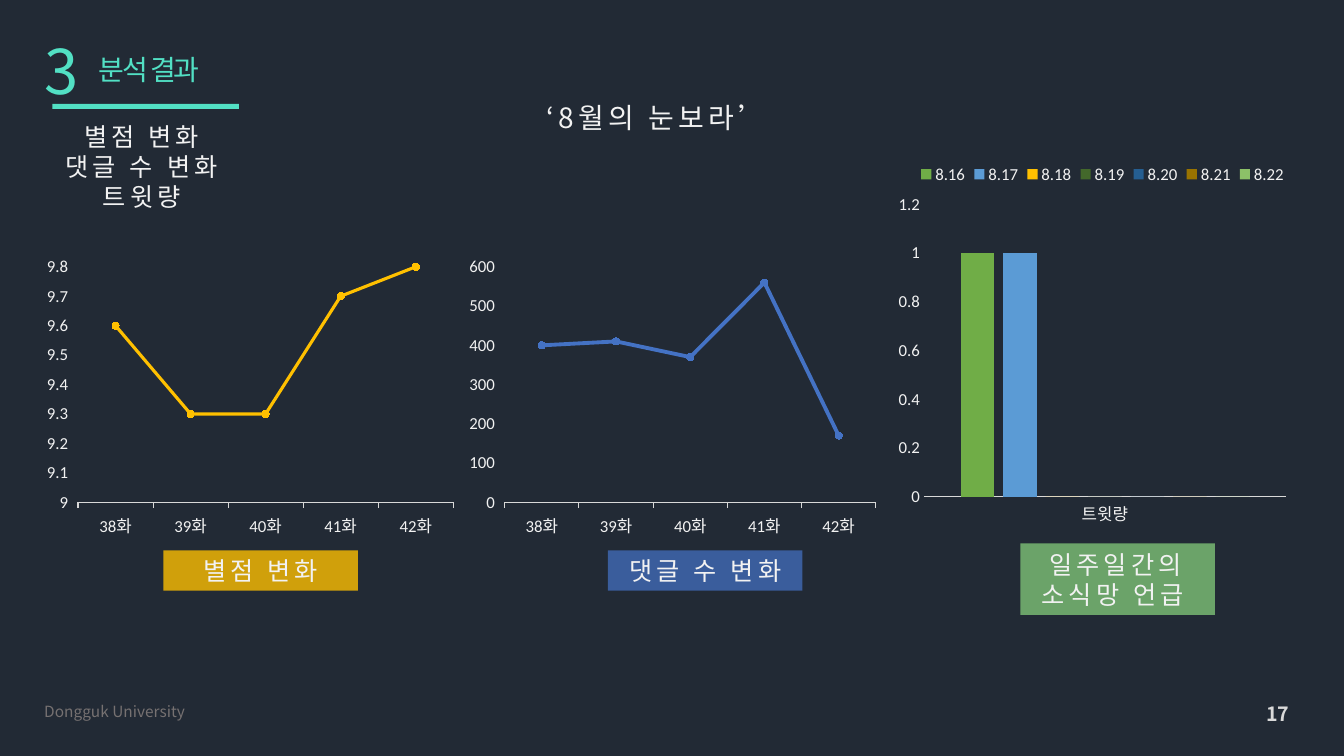
import pptx
import pptx.util
import pptx.chart.data
import pptx.dml.color
import pptx.enum.chart
import pptx.enum.shapes
import pptx.enum.text
import pptx.oxml
import pptx.oxml.ns
from lxml import etree

Inches, Pt = pptx.util.Inches, pptx.util.Pt
qn = pptx.oxml.ns.qn
XL = pptx.enum.chart
CENTER = pptx.enum.text.PP_ALIGN.CENTER
LEFT = pptx.enum.text.PP_ALIGN.LEFT

COLORS = {
    "background": "222A35", "mint": "52E0C4", "text": "F2F2F2",
    "footer": "767171", "axis": "D9D9D9", "yellow": "FFC000",
    "blue": "4472C4", "green": "88D37E",
}
DAYS = {
    "8.16": (1, "70AD47"), "8.17": (1, "5B9BD5"), "8.18": (0, "FFC000"),
    "8.19": (0, "43682B"), "8.20": (0, "255E91"), "8.21": (0, "997300"),
    "8.22": (0, "8CC168"),
}
EPISODES = ["38화", "39화", "40화", "41화", "42화"]
TEXT_FONT, CHART_FONT = "Noto Sans CJK KR", "Calibri"


def rgb(value):
    return pptx.dml.color.RGBColor.from_string(COLORS.get(value, value))


def paint(fill, color):
    fill.solid()
    fill.fore_color.rgb = rgb(color)


def write(sp, lines, size, color="text", align=CENTER, spacing=0, bold=False, wrap=True):
    tf = sp.text_frame
    tf.word_wrap = wrap
    tf.text = "\n".join(lines)
    for p in tf.paragraphs:
        p.alignment = align
        p.font.size, p.font.name, p.font.bold = Pt(size), TEXT_FONT, bold
        p.font.color.rgb = rgb(color)
        props = p._p.pPr.find(qn("a:defRPr"))
        props.set("spc", str(int(spacing * 100)))
        east_asian = etree.Element(qn("a:ea"), typeface=TEXT_FONT)
        props.find(qn("a:latin")).addnext(east_asian)


def add_text(s, box, lines, size, **style):
    write(s.shapes.add_textbox(*map(Inches, box)), lines, size, **style)


def add_bar(s, box, color, opacity=100):
    sp = s.shapes.add_shape(pptx.enum.shapes.MSO_SHAPE.RECTANGLE, *map(Inches, box))
    sp.shadow.inherit = False
    sp.line.fill.background()
    paint(sp.fill, color)
    if opacity < 100:
        tint = sp.fill._xPr.find(qn("a:solidFill"))[0]
        etree.SubElement(tint, qn("a:alpha"), val=str(opacity * 1000))
    return sp


def add_label(s, box, text, color, opacity):
    write(add_bar(s, box, color, opacity), [text], 18, spacing=3)


def set_font(font, size):
    font.name, font.size = CHART_FONT, Pt(size)
    font.color.rgb = rgb("text")


def manual_layout(x, y, w, h, inner=False):
    layout = etree.Element(qn("c:layout"))
    manual = etree.SubElement(layout, qn("c:manualLayout"))
    settings = [("layoutTarget", "inner")] if inner else []
    settings += [("xMode", "edge"), ("yMode", "edge"), ("x", x), ("y", y), ("w", w), ("h", h)]
    for tag, value in settings:
        etree.SubElement(manual, qn("c:" + tag), val=str(value))
    return layout


def add_chart(s, box, kind, categories, series, limits, tick):
    data = pptx.chart.data.CategoryChartData()
    data.categories = categories
    for name, values in series:
        data.add_series(name, values)
    chart = s.shapes.add_chart(kind, *map(Inches, box), data).chart
    chart.has_title = chart.has_legend = False
    set_font(chart.font, 10)
    chart.plots[0].vary_by_categories = False
    for axis in (chart.category_axis, chart.value_axis):
        axis.has_major_gridlines = False
        axis.major_tick_mark = tick
        axis.minor_tick_mark = XL.XL_TICK_MARK.NONE
        set_font(axis.tick_labels.font, 12)
    paint(chart.category_axis.format.line.fill, "axis")
    chart.category_axis.format.line.width = Pt(0.75)
    value_axis = chart.value_axis
    value_axis.format.line.fill.background()
    value_axis.minimum_scale, value_axis.maximum_scale, value_axis.major_unit = limits
    return chart


def line_panel(s, left, top, values, limits, color, width, title, title_dx, opacity):
    chart = add_chart(s, (left, top, 4.2, 2.9), XL.XL_CHART_TYPE.LINE_MARKERS_STACKED,
                      EPISODES, [("Series 1", values)], limits, XL.XL_TICK_MARK.OUTSIDE)
    ser = chart.plots[0].series[0]
    ser.smooth = False
    paint(ser.format.line.fill, color)
    ser.format.line.width = Pt(width)
    ser.marker.style, ser.marker.size = XL.XL_MARKER_STYLE.CIRCLE, 5
    paint(ser.marker.format.fill, color)
    paint(ser.marker.format.line.fill, color)
    add_label(s, (left + title_dx, top + 2.97, 1.93, 0.4), title, color, opacity)


def mentions_panel(s, left, top):
    chart = add_chart(s, (left, top, 4.2, 4.63), XL.XL_CHART_TYPE.COLUMN_CLUSTERED, ["트윗량"],
                      [(day, [count]) for day, (count, _) in DAYS.items()],
                      (0, 1.2, 0.2), XL.XL_TICK_MARK.NONE)
    plot = chart.plots[0]
    plot.gap_width, plot.overlap = 219, -27
    for ser, (_, color) in zip(plot.series, DAYS.values()):
        paint(ser.format.fill, color)
    # Legend above the plot
    chart.has_legend = True
    legend = chart.legend
    legend.position = XL.XL_LEGEND_POSITION.BOTTOM
    legend.include_in_layout = False
    set_font(legend.font, 12)
    area = chart._chartSpace.chart.plotArea
    for holder in (area, legend._element):
        for old in holder.findall(qn("c:layout")):
            holder.remove(old)
    area.insert(0, manual_layout(0.108, 0.19, 0.855, 0.626, inner=True))
    legend._element.find(qn("c:legendPos")).addnext(manual_layout(0.08, 0.09, 0.9, 0.07))
    add_label(s, (left + 1.41, top + 4.24, 1.93, 0.71), "일주일간의 소식망 언급 ", "green", 72)


def header(s, left, top):
    add_text(s, (left + 0.54, top + 0.19, 1.93, 0.44), ["분석 결과"], 20,
             color="mint", align=LEFT, spacing=-1.5)
    add_text(s, (left, top, 0.58, 0.84), ["3"], 44, color="mint", align=LEFT, wrap=False)
    add_bar(s, (left + 0.18, top + 0.75, 1.85, 0.05), "mint")
    add_text(s, (left + 0.1, top + 0.87, 1.93, 1.01),
             ["별점 변화", "댓글 수 변화", "트윗량"], 18, spacing=3)
    add_text(s, (left + 4.73, top + 0.67, 2.89, 0.44), ["‘8월의 눈보라’"], 20, spacing=3)


def footer(s, left, top):
    add_text(s, (left, top, 2.87, 0.29), ["Dongguk University"], 11, color="footer", align=LEFT)
    add_text(s, (left + 12.05, top - 0.01, 0.57, 0.34), ["17"], 14, color="axis", bold=True)


def main():
    prs = pptx.Presentation()
    prs.slide_width, prs.slide_height = Inches(13.33), Inches(7.5)
    s = prs.slides.add_slide(prs.slide_layouts[6])
    paint(s.background.fill, "background")
    header(s, 0.34, 0.28)
    line_panel(s, 0.38, 2.49, [9.6, 9.3, 9.3, 9.7, 9.8], (9, 9.8, 0.1),
               "yellow", 2.25, "별점 변화", 1.24, 79)
    line_panel(s, 4.57, 2.49, [400, 410, 370, 560, 170], (0, 600, 100),
               "blue", 2.75, "댓글 수 변화", 1.46, 72)
    mentions_panel(s, 8.71, 1.15)
    footer(s, 0.34, 6.92)
    prs.save("out.pptx")


if __name__ == "__main__":
    main()
